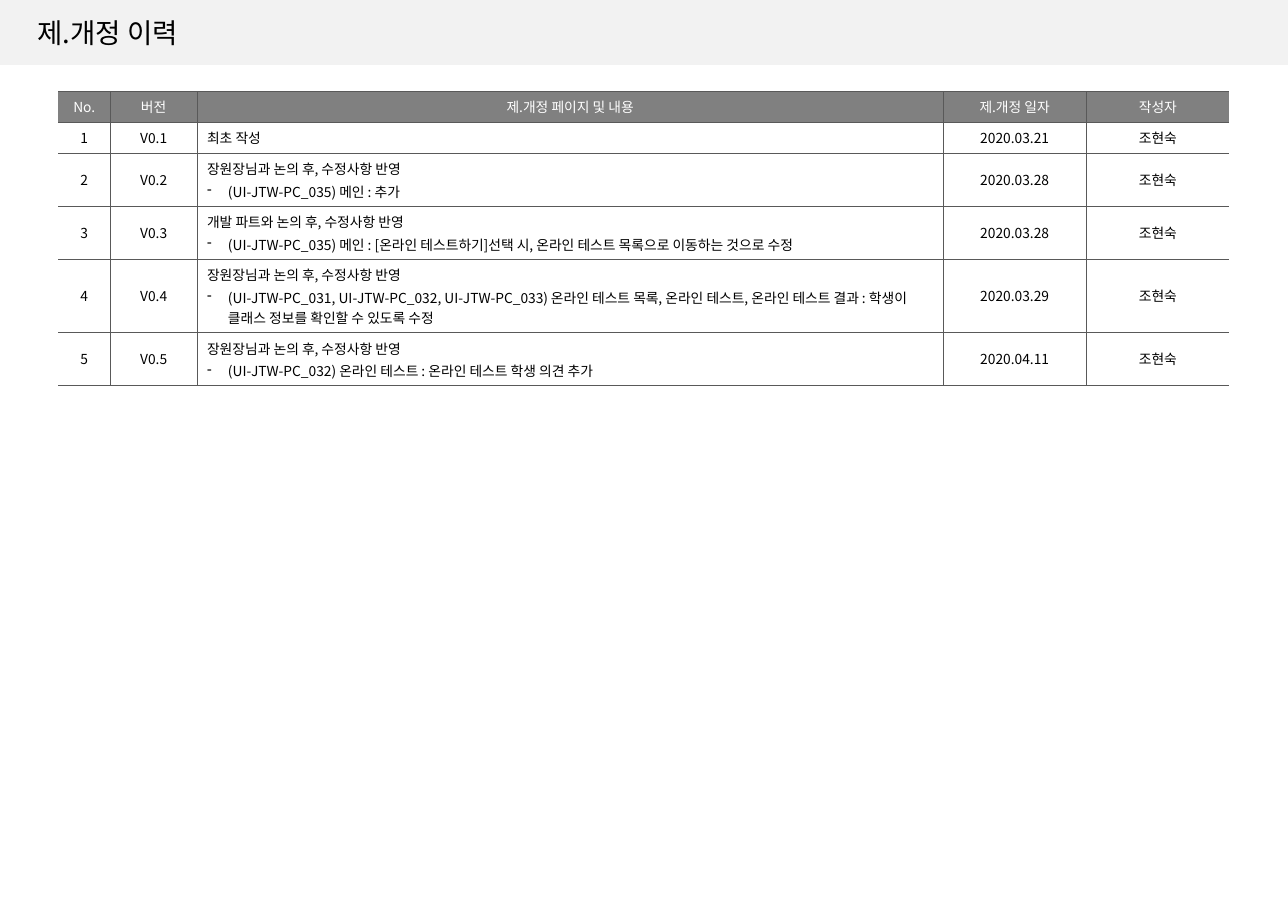
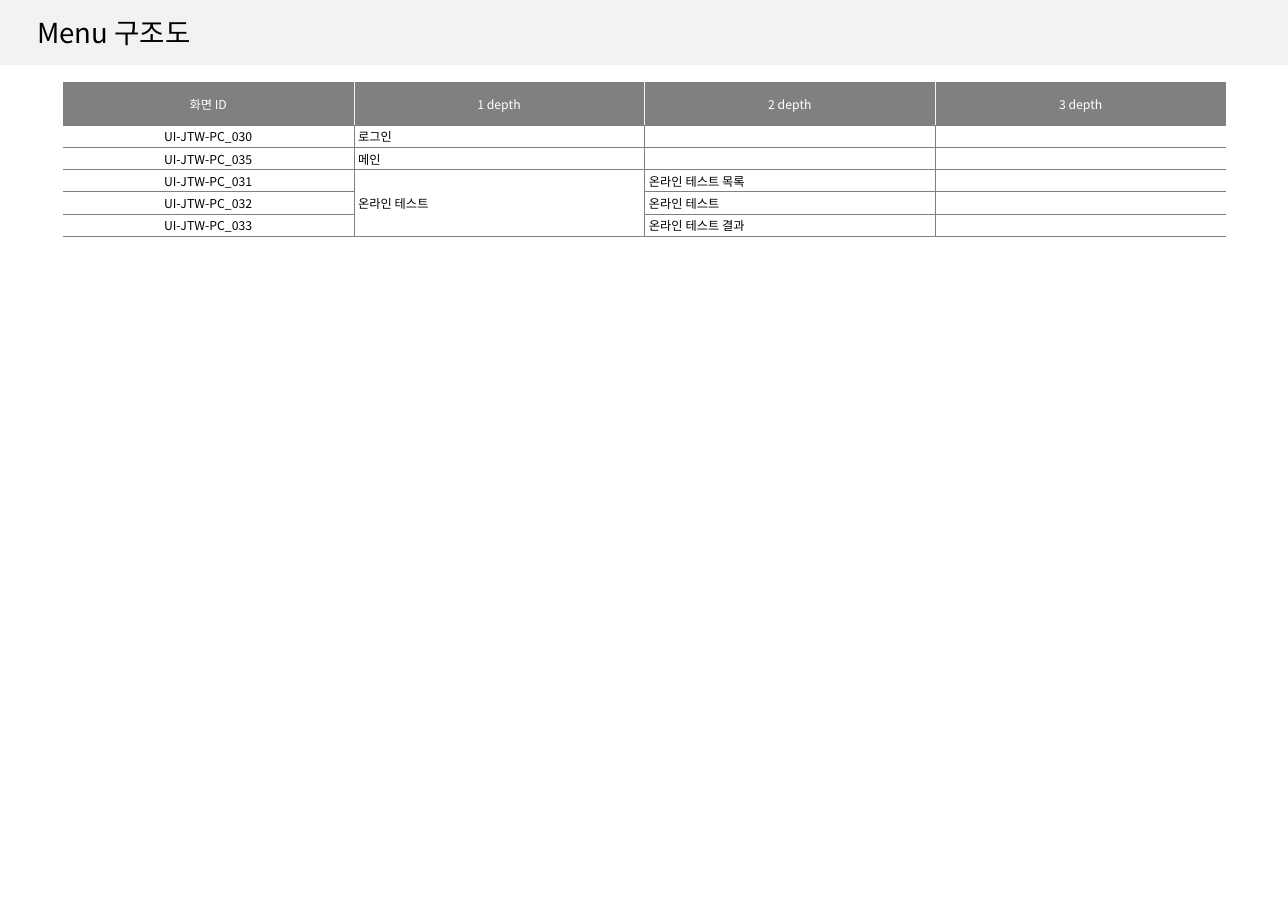
from lxml.etree import SubElement
from pptx import Presentation
from pptx.dml.color import RGBColor
from pptx.enum.shapes import MSO_SHAPE
from pptx.enum.text import MSO_ANCHOR, PP_ALIGN
from pptx.oxml import parse_xml
from pptx.oxml.ns import nsdecls, qn
from pptx.util import Inches, Pt

FONT = "Noto Sans CJK KR"
BLACK, WHITE, BAND, GRAY, DARK = "000000", "FFFFFF", "F2F2F2", "808080", "595959"


def color(value):
    return RGBColor.from_string(value)


class Deck:
    def __init__(self, width, height):
        self.prs = Presentation()
        self.prs.slide_width, self.prs.slide_height = Inches(width), Inches(height)
        self.slide = None

    def page(self, title):
        """Start a slide with the shared top band and title."""
        self.slide = self.prs.slides.add_slide(self.prs.slide_layouts[6])
        band = self.slide.shapes.add_shape(
            MSO_SHAPE.RECTANGLE, 0, 0, self.prs.slide_width, Inches(0.59))
        band.shadow.inherit = False
        band.fill.solid()
        band.fill.fore_color.rgb = color(BAND)
        band.line.fill.background()
        heading = self.slide.shapes.add_textbox(
            Inches(0.24), Inches(0.14), Inches(10.09), Inches(0.31))
        frame = heading.text_frame
        frame.word_wrap = True
        frame.vertical_anchor = MSO_ANCHOR.MIDDLE
        self.set_text(frame.paragraphs[0], title, 18, BLACK)

    def set_text(self, paragraph, text, size, ink):
        paragraph.text = text
        for run in paragraph.runs:
            run.font.size, run.font.name = Pt(size), FONT
            run.font.color.rgb = color(ink)
            SubElement(run._r.get_or_add_rPr(), qn("a:ea")).set("typeface", FONT)
        if not text:  # keeps an empty cell as low as its row
            SubElement(paragraph._p, qn("a:endParaRPr")).set("sz", str(size * 100))

    def bullet(self, paragraph):
        props = paragraph._p.get_or_add_pPr()
        props.set("marL", str(Inches(0.19)))
        props.set("indent", str(-Inches(0.19)))
        SubElement(props, qn("a:buChar")).set("char", "-")

    def borders(self, cell, sides):
        """Set left, right, top and bottom lines; None means no line."""
        props = cell._tc.get_or_add_tcPr()
        for index, (side, ink) in enumerate(zip("LRTB", sides)):
            paint = (f'<a:solidFill><a:srgbClr val="{ink}"/></a:solidFill>'
                     if ink else "<a:noFill/>")
            props.insert(index, parse_xml(
                f'<a:ln{side} {nsdecls("a")} w="{Pt(0.25)}">{paint}</a:ln{side}>'))

    def table(self, left, top, widths, heights, rows, centered, size, margins,
              line, header_line, before=0):
        """Draw a table with a grey header row and open outer sides."""
        grid = self.slide.shapes.add_table(
            len(rows), len(widths), Inches(left), Inches(top),
            Inches(sum(widths)), Inches(sum(heights))).table
        grid.first_row = grid.horz_banding = False
        for column, width in zip(grid.columns, widths):
            column.width = Inches(width)
        last = len(widths) - 1
        for r, (values, height) in enumerate(zip(rows, heights)):
            grid.rows[r].height = Inches(height)
            header = r == 0
            inner = header_line if header else line
            for c, value in enumerate(values):
                cell = grid.cell(r, c)
                cell.vertical_anchor = MSO_ANCHOR.MIDDLE
                cell.margin_left = cell.margin_right = Inches(margins[0])
                cell.margin_top = cell.margin_bottom = Inches(margins[1])
                cell.fill.solid()
                cell.fill.fore_color.rgb = color(GRAY if header else WHITE)
                for n, text in enumerate(value.split("\n")):
                    frame = cell.text_frame
                    paragraph = frame.add_paragraph() if n else frame.paragraphs[0]
                    self.set_text(paragraph, text, size, WHITE if header else BLACK)
                    paragraph.space_before = Pt(before)
                    if header or c in centered:
                        paragraph.alignment = PP_ALIGN.CENTER
                    if n:
                        self.bullet(paragraph)
                self.borders(cell, (inner if c else None,
                                    inner if c < last else None, line, line))
        return grid


deck = Deck(11.69, 8.27)

# Revision history: the lines after the first in a cell are bulleted
deck.page("제.개정 이력")
AUTHOR = "조현숙"
DIRECTOR = "장원장님과 논의 후, 수정사항 반영\n"
revisions = [
    ("최초 작성", "2020.03.21"),
    (DIRECTOR + "(UI-JTW-PC_035) 메인 : 추가", "2020.03.28"),
    ("개발 파트와 논의 후, 수정사항 반영\n(UI-JTW-PC_035) 메인 : "
     "[온라인 테스트하기]선택 시, 온라인 테스트 목록으로 이동하는 것으로 수정",
     "2020.03.28"),
    (DIRECTOR + "(UI-JTW-PC_031, UI-JTW-PC_032, UI-JTW-PC_033) 온라인 테스트 목록, "
     "온라인 테스트, 온라인 테스트 결과 : 학생이 클래스 정보를 확인할 수 있도록 수정",
     "2020.03.29"),
    (DIRECTOR + "(UI-JTW-PC_032) 온라인 테스트 : 온라인 테스트 학생 의견 추가",
     "2020.04.11"),
]
history = [("No.", "버전", "제.개정 페이지 및 내용", "제.개정 일자", "작성자")]
history += [(str(n), f"V0.{n}", change, date, AUTHOR)
            for n, (change, date) in enumerate(revisions, 1)]
deck.table(0.53, 0.83, [0.47, 0.79, 6.77, 1.3, 1.3],
           [0.28, 0.28, 0.48, 0.48, 0.67, 0.48], history, {0, 1, 3, 4},
           size=9, margins=(0.09, 0.05), line=DARK, header_line=DARK, before=1.8)

# Menu structure
deck.page("Menu 구조도")
screens = [
    ("030", "로그인", ""),
    ("035", "메인", ""),
    ("031", "온라인 테스트", "온라인 테스트 목록"),
    ("032", "", "온라인 테스트"),
    ("033", "", "온라인 테스트 결과"),
]
menu = [("화면 ID", "1 depth", "2 depth", "3 depth")]
menu += [(f"UI-JTW-PC_{code}", first, second, "") for code, first, second in screens]
menu_grid = deck.table(0.57, 0.75, [2.64] * 4, [0.39] + [0.2] * 5, menu, {0},
                       size=8, margins=(0.04, 0), line=GRAY, header_line=BAND)
menu_grid.cell(3, 1).merge(menu_grid.cell(5, 1))

deck.prs.save("out.pptx")
